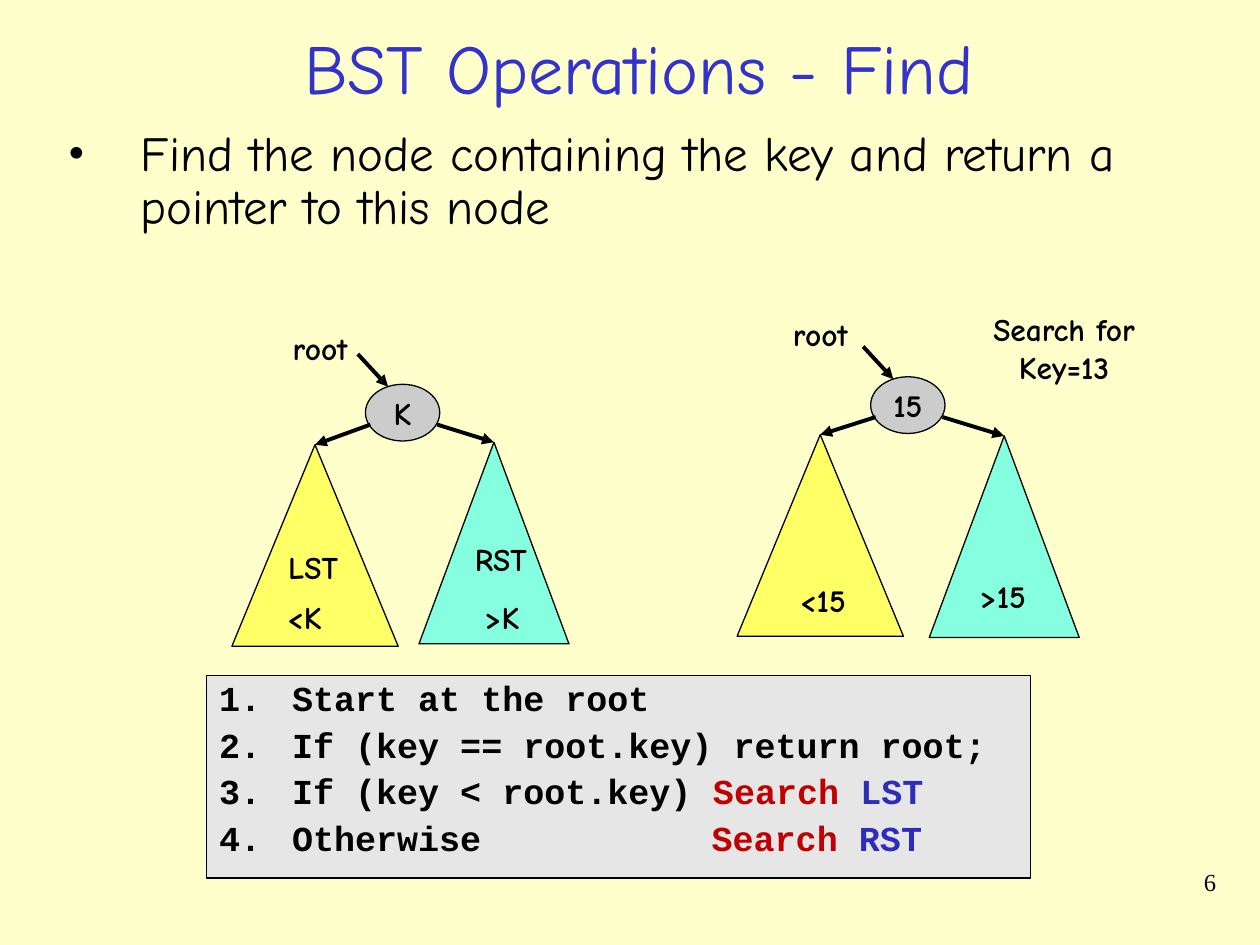
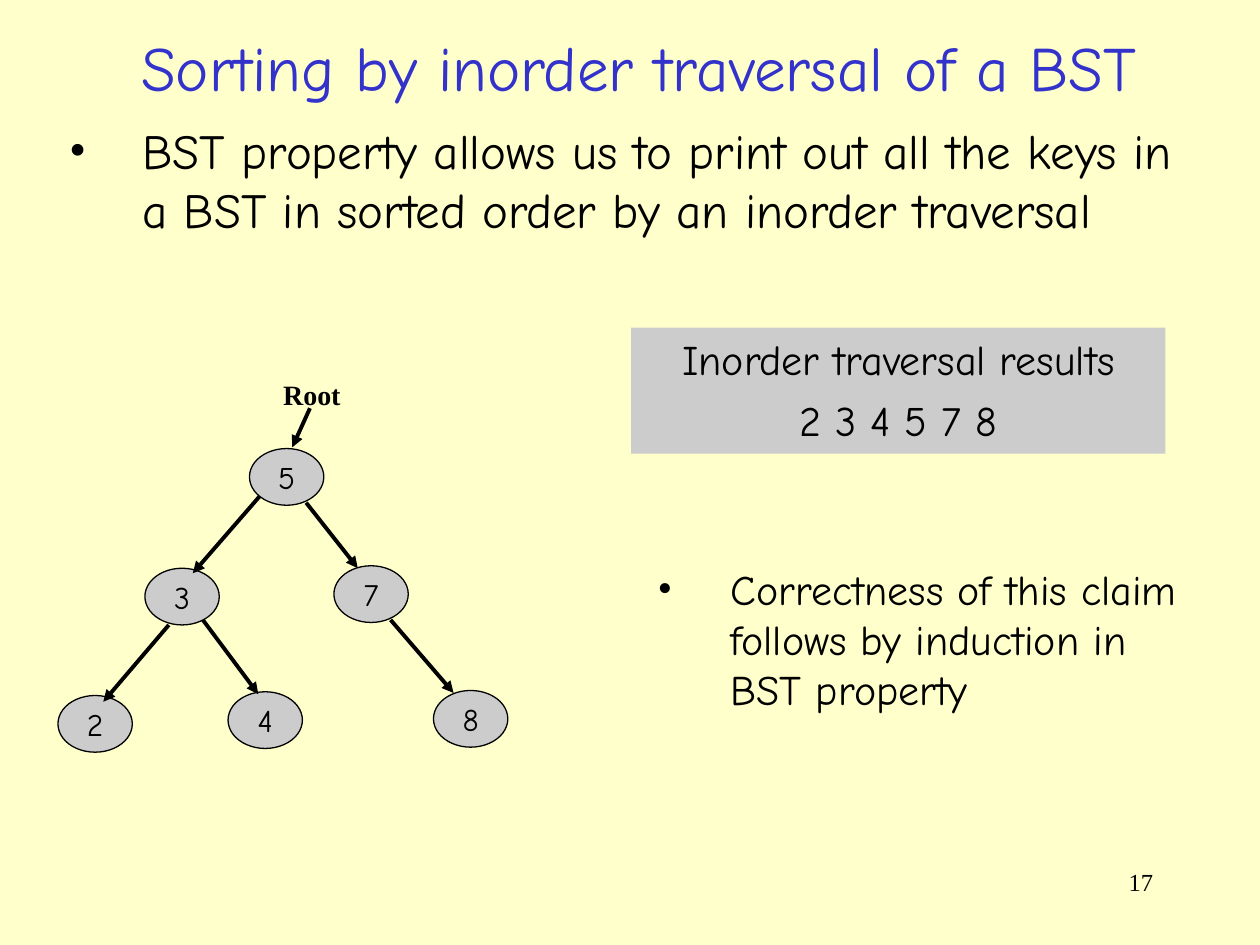
from pptx import Presentation
from pptx.dml.color import RGBColor
from pptx.enum.shapes import MSO_CONNECTOR, MSO_SHAPE
from pptx.enum.text import MSO_ANCHOR, PP_ALIGN
from pptx.oxml.ns import qn
from pptx.util import Inches, Pt
from lxml import etree

LEFT, CENTER, RIGHT = PP_ALIGN.LEFT, PP_ALIGN.CENTER, PP_ALIGN.RIGHT
TOP, MIDDLE = MSO_ANCHOR.TOP, MSO_ANCHOR.MIDDLE
OVAL, RECTANGLE = MSO_SHAPE.OVAL, MSO_SHAPE.RECTANGLE
TRIANGLE = MSO_SHAPE.ISOSCELES_TRIANGLE
STRAIGHT = MSO_CONNECTOR.STRAIGHT

COMIC, COURIER, TIMES = "Comic Neue", "Courier New", "Times New Roman"
BLACK, CREAM, GRAY, PALE_GRAY = "000000", "FFFFCC", "CCCCCC", "E6E6E6"
TITLE_BLUE, BLUE, RED = "3333CC", "2D2DB9", "C00000"
YELLOW, AQUA = "FFFF66", "85FFE0"
color = RGBColor.from_string

# Grid of 100 columns by 75 rows; every position below counts in these
presentation = Presentation()
presentation.slide_width, presentation.slide_height = Inches(10), Inches(7.5)
COLUMN = presentation.slide_width / 100
ROW = presentation.slide_height / 75
HANGING_INDENT = 5.8
SEARCH_TAB = 39.1
NODE_WIDTH, NODE_HEIGHT = 5.9, 4.5


def add_block(slide, box, lines=(), size=18, font=COMIC, bold=False, ink=BLACK,
              align=CENTER, anchor=TOP, wrap=True, geometry=None, fill=None,
              outline=None, bullet=None, space=0, spacing=None, tab=None):
    """Add a text box or filled shape; a line is a string or (text, colour) runs."""
    left, top, width, height = box
    frame = [int(left * COLUMN), int(top * ROW), int(width * COLUMN), int(height * ROW)]
    if geometry is None:
        shape = slide.shapes.add_textbox(*frame)
    else:
        shape = slide.shapes.add_shape(geometry, *frame)
        shape.shadow.inherit = False
        shape.fill.solid()
        shape.fill.fore_color.rgb = color(fill)
        if outline:
            shape.line.color.rgb = color(outline)
            shape.line.width = Pt(0.75)
        else:
            shape.line.fill.background()
    text_frame = shape.text_frame
    text_frame.word_wrap = wrap
    text_frame.vertical_anchor = anchor
    if not wrap:
        # Short labels use the full width of their box
        text_frame.margin_left = text_frame.margin_right = 0
    for index, line in enumerate(lines):
        paragraph = text_frame.paragraphs[0] if index == 0 else text_frame.add_paragraph()
        paragraph.alignment = align
        if spacing:
            paragraph.line_spacing = spacing
        if index:
            paragraph.space_before = Pt(space)
        properties = paragraph._p.get_or_add_pPr()
        if bullet:
            indent = int(HANGING_INDENT * COLUMN)
            properties.set("marL", str(indent))
            properties.set("indent", str(-indent))
            if bullet == "number":
                etree.SubElement(properties, qn("a:buAutoNum"), type="arabicPeriod")
            else:
                etree.SubElement(properties, qn("a:buFont"), typeface=TIMES)
                etree.SubElement(properties, qn("a:buChar"), char=bullet)
        if tab:
            tabs = etree.SubElement(properties, qn("a:tabLst"))
            etree.SubElement(tabs, qn("a:tab"), pos=str(int(tab * COLUMN)), algn="l")
        paragraph.font.name, paragraph.font.size = font, Pt(size)
        paragraph.font.bold = bold
        paragraph.font.color.rgb = color(ink)
        for text, run_ink in [(line, None)] if isinstance(line, str) else line:
            run = paragraph.add_run()
            run.text = text
            if run_ink:
                run.font.color.rgb = color(run_ink)


def add_arrow(slide, start_column, start_row, end_column, end_row):
    connector = slide.shapes.add_connector(
        STRAIGHT, int(start_column * COLUMN), int(start_row * ROW),
        int(end_column * COLUMN), int(end_row * ROW))
    connector.line.color.rgb = color(BLACK)
    connector.line.width = Pt(2.25)
    properties = connector._element.spPr
    etree.SubElement(properties.find(qn("a:ln")), qn("a:tailEnd"), type="triangle")
    etree.SubElement(properties, qn("a:effectLst"))


# Shared background, title and page number
slides = []
for title, title_size, number, number_left in [
        ("BST Operations - Find", 40, "6", 76.7),
        ("Sorting by inorder traversal of a BST", 36, "17", 71.7)]:
    slide = presentation.slides.add_slide(presentation.slide_layouts[6])
    slide.background.fill.solid()
    slide.background.fill.fore_color.rgb = color(CREAM)
    add_block(slide, (number_left, 68.3, 20.8, 5), [number], 14, TIMES, align=RIGHT)
    add_block(slide, (3, 1.5, 95.4, 7.6), [title], title_size, ink=TITLE_BLUE, anchor=MIDDLE)
    slides.append(slide)
find_slide, sorting_slide = slides

# Find: task
add_block(find_slide, (4.4, 9.8, 91.4, 11.3),
          ["Find the node containing the key and return a pointer to this node"],
          28, align=LEFT, bullet="•", spacing=0.9)

# Find: general tree and example tree, each a root above two subtrees
for key, left, top, left_apex, right_apex in [
        ("K", 29, 30.5, (25, 35.3), (39.2, 35.1)),
        ("15", 69.1, 29.9, (65.1, 34.5), (79.7, 34.6))]:
    add_block(find_slide, (left, top, NODE_WIDTH, NODE_HEIGHT), [key], bold=True,
              anchor=MIDDLE, wrap=False, geometry=OVAL, fill=GRAY, outline=BLACK)
    for (apex_column, apex_row), base, fill in [(left_apex, 13.2, YELLOW),
                                                (right_apex, 11.9, AQUA)]:
        add_block(find_slide, (apex_column - base / 2, apex_row, base, 16),
                  geometry=TRIANGLE, fill=fill, outline=BLACK)
    add_arrow(find_slide, left - 0.6, top - 2.4, left + 1.8, top + 0.2)
    add_arrow(find_slide, left + 0.4, top + 3.2, *left_apex)
    add_arrow(find_slide, left + 5.7, top + 3.2, *right_apex)

# Find: labels around and inside the trees
for lines, left, top, width in [
        (["root"], 22.2, 25.6, 6.4), (["root"], 61.9, 24.5, 6.4),
        (["LST"], 21.9, 43, 5.9), (["RST"], 36.7, 42.4, 6.1),
        (["<K"], 21.8, 47, 4.7), ([">K"], 37.5, 47, 4.7),
        (["<15"], 62.5, 45.6, 5.6), ([">15"], 76.8, 45.3, 5.6),
        (["Search for", "Key=13"], 77.8, 24.1, 13.3)]:
    add_block(find_slide, (left, top, width, 4 if len(lines) == 1 else 7), lines,
              bold=True, wrap=False)

# Find: algorithm steps
add_block(find_slide, (16.4, 53.6, 65.4, 16.1), [
    "Start at the root",
    "If (key == root.key) return root;",
    [("If (key < root.key) ", None), ("Search ", RED), ("LST", BLUE)],
    [("Otherwise\t", None), ("Search ", RED), ("RST", BLUE)],
], 20, COURIER, bold=True, align=LEFT, geometry=RECTANGLE, fill=PALE_GRAY,
    outline=BLACK, bullet="number", space=5, spacing=0.9, tab=SEARCH_TAB)

# Sorting: tree nodes and arrows
for key, left, top in [("5", 19.8, 35.6), ("3", 11.5, 45.1), ("7", 26.5, 44.9),
                       ("2", 4.6, 55.2), ("4", 18.1, 54.9), ("8", 34.4, 54.8)]:
    add_block(sorting_slide, (left, top, NODE_WIDTH, NODE_HEIGHT), [key],
              anchor=MIDDLE, wrap=False, geometry=OVAL, fill=GRAY, outline=BLACK)
for ends in [(24.6, 32.4, 23.2, 35.5),
             (20.6, 39.4, 15.3, 45.5), (24.3, 39.9, 28.4, 45.1),
             (13.4, 49.6, 8.2, 55.7), (16.1, 49.2, 20.5, 55.1),
             (31, 49.2, 36, 55)]:
    add_arrow(sorting_slide, *ends)
add_block(sorting_slide, (21.5, 29.5, 6.5, 3.7), ["Root"], 16, TIMES, bold=True, wrap=False)

# Sorting: property, result and claim
add_block(sorting_slide, (4.5, 9.1, 89.9, 17.5),
          ["BST property allows us to print out all the keys in a BST "
           "in sorted order by an inorder traversal"],
          28, align=LEFT, bullet="•")
add_block(sorting_slide, (50.1, 26, 42.4, 10),
          ["Inorder traversal results", "2 3 4 5 7 8"],
          24, geometry=RECTANGLE, fill=GRAY, space=6)
add_block(sorting_slide, (51.2, 44.2, 45.8, 17.5),
          ["Correctness of this claim follows by induction in BST property"],
          24, align=LEFT, bullet="•")

presentation.save("out.pptx")
